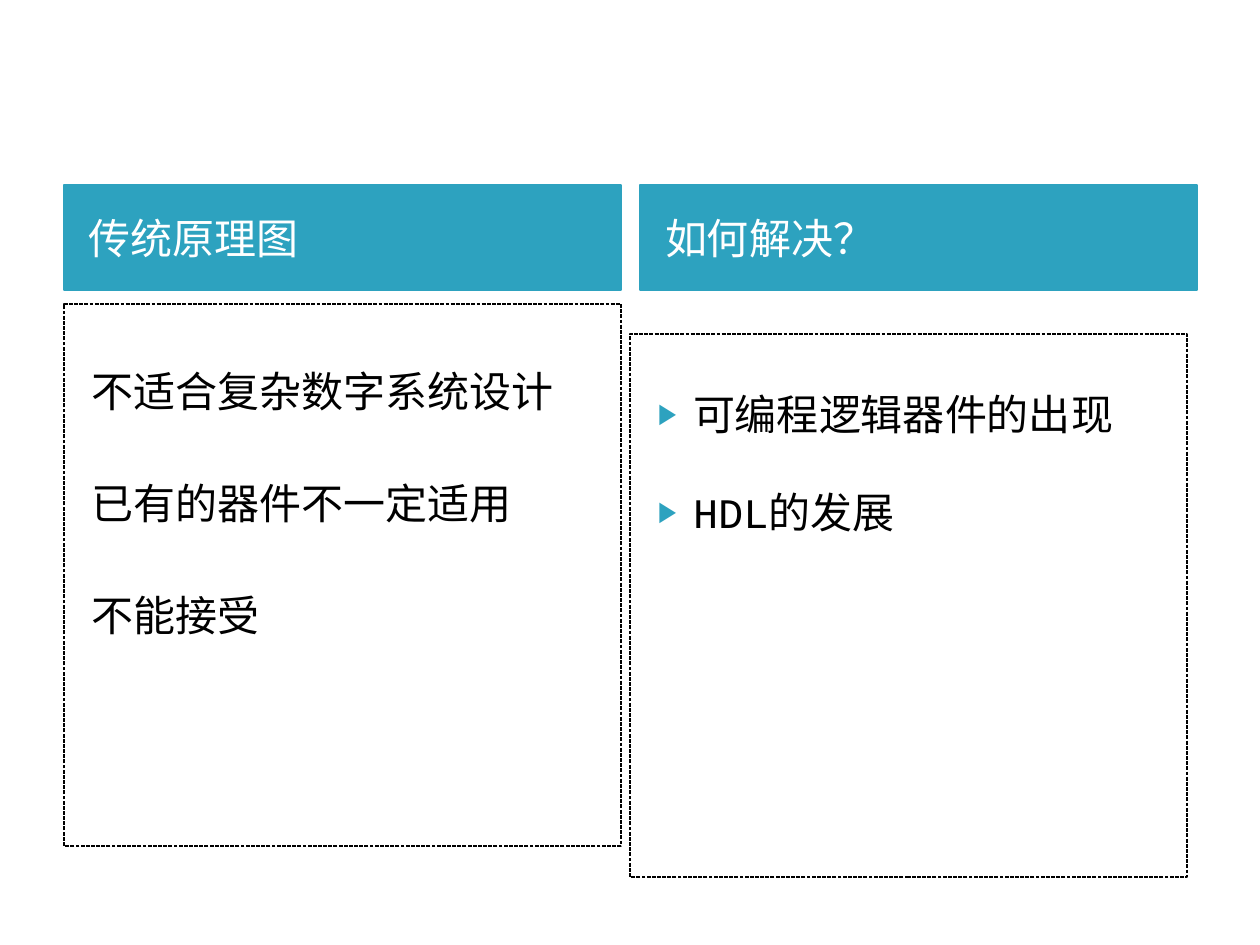
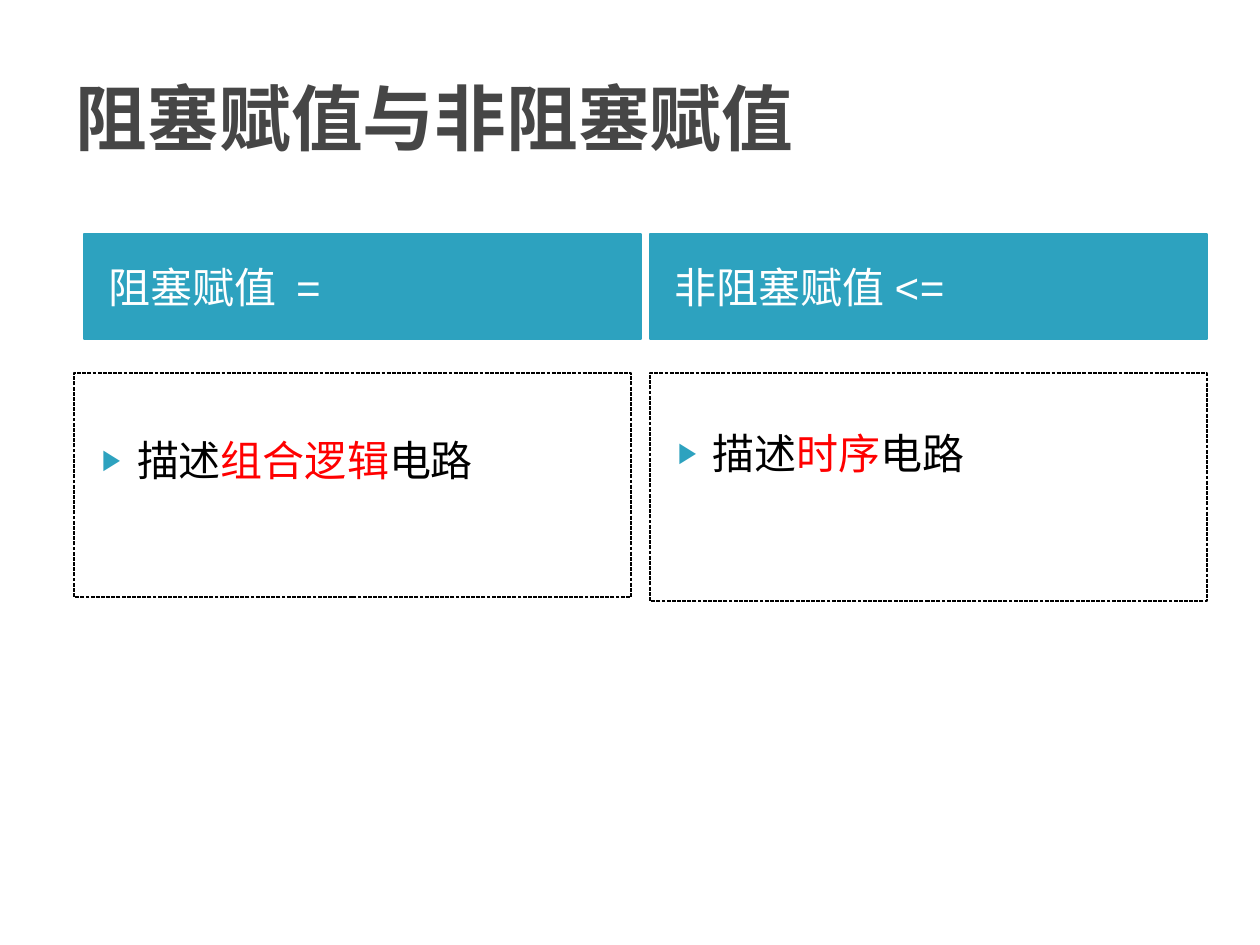
"""Builds two comparison slides, each with two headed and boxed lists."""
from lxml import etree
from pptx import Presentation
from pptx import util as u
from pptx.dml.color import RGBColor
from pptx.enum import dml, text
from pptx.oxml.ns import qn

FONT = "Courier New"
TEAL, WHITE, BLACK, RED, GREY = "2DA2BF", "FFFFFF", "000000", "FF0000", "464646"
PX_PER_INCH = 126
COLUMN_WIDTH, HEADER_HEIGHT = 557, 105
TITLE_AREA = (63, 38, 1134, 158)
COMPARISON_LAYOUT = 4

# Text between bars is emphasised.
SLIDES = [
    {
        "title": None,
        "header_top": 185,
        "columns": [
            {"header": "传统原理图", "header_left": 64, "list_at": (64, 304),
             "list_height": 542, "inset": 61, "gap": 62, "bullets": False,
             "items": ["不适合复杂数字系统设计", "已有的器件不一定适用", "不能接受"]},
            {"header": "如何解决？", "header_left": 640, "list_at": (630, 334),
             "list_height": 543, "inset": 54, "gap": 48, "bullets": True,
             "items": ["可编程逻辑器件的出现", "HDL的发展"]},
        ],
    },
    {
        "title": "阻塞赋值与非阻塞赋值",
        "header_top": 234,
        "columns": [
            {"header": "阻塞赋值  =", "header_left": 84, "list_at": (74, 373),
             "list_height": 224, "inset": 61, "gap": 0, "bullets": True,
             "items": ["描述|组合逻辑|电路"]},
            {"header": "非阻塞赋值 <=", "header_left": 650, "list_at": (650, 373),
             "list_height": 228, "inset": 54, "gap": 0, "bullets": True,
             "items": ["描述|时序|电路"]},
        ],
    },
]


def px(length):
    return u.Emu(round(length * 914400 / PX_PER_INCH))


def rgb(value):
    return RGBColor.from_string(value)


def place(box, left, top, width, height):
    box.left, box.top, box.width, box.height = map(px, (left, top, width, height))


def prepare_frame(box, anchor, left=13, top=6):
    frame = box.text_frame
    frame.word_wrap = True
    frame.auto_size = text.MSO_AUTO_SIZE.NONE
    frame.vertical_anchor = anchor
    frame.margin_left, frame.margin_top = px(left), px(top)
    frame.margin_right, frame.margin_bottom = px(13), px(6)
    return frame


def style_span(span, size, colour, bold=False):
    span.font.name = FONT
    span.font.size = u.Pt(size)
    span.font.bold = bold
    span.font.color.rgb = rgb(colour)


def set_outline(box, colour):
    box.line.color.rgb = rgb(colour)
    box.line.width = u.Pt(0.75)


def set_bullet(para, shown):
    properties = para._p.get_or_add_pPr()
    margin, indent = (50, -35) if shown else (15, 0)
    properties.set("marL", str(px(margin)))
    properties.set("indent", str(px(indent)))
    if not shown:
        etree.SubElement(properties, qn("a:buNone"))
        return
    colour = etree.SubElement(properties, qn("a:buClr"))
    etree.SubElement(colour, qn("a:srgbClr"), val=TEAL)
    etree.SubElement(properties, qn("a:buSzPct"), val="68000")
    etree.SubElement(properties, qn("a:buChar"), char="▶")


def fill_title(box, title):
    if title is None:
        box.element.getparent().remove(box.element)
        return
    place(box, *TITLE_AREA)
    frame = prepare_frame(box, text.MSO_ANCHOR.MIDDLE)
    frame.text = title
    para = frame.paragraphs[0]
    para.alignment = text.PP_ALIGN.LEFT
    style_span(para.runs[0], 41, GREY, bold=True)


def fill_header(box, column, top):
    place(box, column["header_left"], top, COLUMN_WIDTH, HEADER_HEIGHT)
    box.fill.solid()
    box.fill.fore_color.rgb = rgb(TEAL)
    set_outline(box, TEAL)
    frame = prepare_frame(box, text.MSO_ANCHOR.MIDDLE, left=25)
    frame.text = column["header"]
    para = frame.paragraphs[0]
    para.space_before = u.Pt(0)
    style_span(para.runs[0], 24, WHITE)


def fill_list(box, column):
    place(box, *column["list_at"], COLUMN_WIDTH, column["list_height"])
    set_outline(box, BLACK)
    box.line.dash_style = dml.MSO_LINE.SQUARE_DOT
    frame = prepare_frame(box, text.MSO_ANCHOR.TOP, top=column["inset"])
    for number, item in enumerate(column["items"]):
        para = frame.add_paragraph() if number else frame.paragraphs[0]
        para.space_before = px(column["gap"] if number else 0)
        set_bullet(para, column["bullets"])
        for position, part in enumerate(item.split("|")):
            span = para.add_run()
            span.text = part
            style_span(span, 24, RED if position % 2 else BLACK)


def main():
    deck = Presentation()
    deck.slide_width, deck.slide_height = u.Inches(10), u.Inches(7.5)
    for content in SLIDES:
        page = deck.slides.add_slide(deck.slide_layouts[COMPARISON_LAYOUT])
        title, *boxes = page.placeholders
        fill_title(title, content["title"])
        for column, header, listing in zip(content["columns"], boxes[::2], boxes[1::2]):
            fill_header(header, column, content["header_top"])
            fill_list(listing, column)
    deck.save("out.pptx")


if __name__ == "__main__":
    main()
